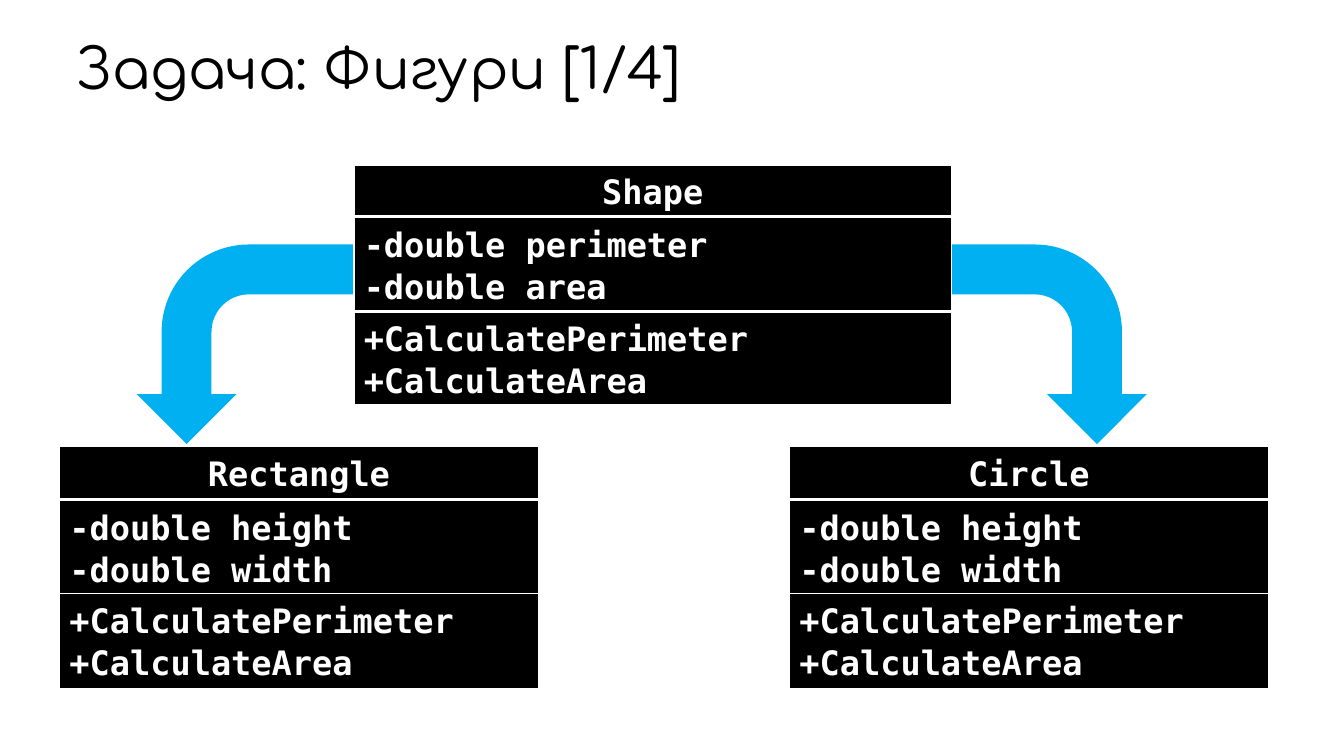
from dataclasses import dataclass

from pptx import Presentation
from pptx.dml.color import RGBColor
from pptx.enum.shapes import MSO_SHAPE as Kind
from pptx.enum.text import MSO_ANCHOR as Anchor, MSO_AUTO_SIZE as Fit, PP_ALIGN as Align
from pptx.oxml.ns import qn
from pptx.util import Inches, Pt

HUES = {"ink": "000000", "paper": "FFFFFF", "arrow": "00B0F0"}
METHODS = ("+CalculatePerimeter", "+CalculateArea")


@dataclass
class Card:
    name: str
    fields: tuple[str, ...]
    left: float
    width: float
    tops: tuple[float, ...]
    heights: tuple[float, ...]
    pad: float


@dataclass
class Arrow:
    left: float
    turn: int
    flip: bool


CHILD = dict(fields=("-double height", "-double width"), width=4.75,
             tops=(4.43, 4.96, 5.89), heights=(0.52, 0.94, 0.94), pad=0.05)
CARDS = [
    Card("Shape", ("-double perimeter", "-double area"), 3.51, 5.93,
         (1.64, 2.16, 3.1), (0.5, 0.92, 0.92), 0.04),
    Card("Rectangle", left=0.59, **CHILD),
    Card("Circle", left=7.83, **CHILD),
]
ARROWS = [Arrow(9.03, 90, False), Arrow(1.72, 270, True)]


def color(key: str) -> RGBColor:
    return RGBColor.from_string(HUES[key])


def write(frame, lines, *, font="DejaVu Sans Mono", size=24, space=30,
          hue="paper", bold=True, align=Align.LEFT) -> None:
    frame.word_wrap = True
    for i, line in enumerate(lines):
        para = frame.paragraphs[0] if i == 0 else frame.add_paragraph()
        para.alignment = align
        para.line_spacing = Pt(space)
        para.space_before = Pt(0)
        run = para.add_run()
        run.text = line
        run.font.name = font
        run.font.size = Pt(size)
        run.font.bold = bold
        run.font.color.rgb = color(hue)


def add_block(slide, kind, left: float, top: float, width: float, height: float, hue: str):
    block = slide.shapes.add_shape(kind, Inches(left), Inches(top),
                                   Inches(width), Inches(height))
    block.shadow.inherit = False
    block.fill.solid()
    block.fill.fore_color.rgb = color(hue)
    return block


def draw_arrow(slide, arrow: Arrow) -> None:
    shape = add_block(slide, Kind.BENT_ARROW, arrow.left, 2.06, 1.98, 2.71, "arrow")
    shape.line.fill.background()
    shape.rotation = arrow.turn
    if arrow.flip:
        shape.element.spPr.find(qn("a:xfrm")).set("flipH", "1")


def draw_card(slide, card: Card) -> None:
    """Stack the class name, its fields and its methods."""
    parts = ((card.name,), card.fields, METHODS)
    for i, (lines, top, height) in enumerate(zip(parts, card.tops, card.heights)):
        box = add_block(slide, Kind.RECTANGLE, card.left, top, card.width, height, "ink")
        box.line.color.rgb = color("paper")
        box.line.width = Pt(1)
        frame = box.text_frame
        frame.vertical_anchor = Anchor.TOP
        frame.margin_top = frame.margin_bottom = Inches(card.pad)
        write(frame, lines, align=Align.LEFT if i else Align.CENTER)
        frame.auto_size = Fit.SHAPE_TO_FIT_TEXT


def main() -> None:
    deck = Presentation()
    deck.slide_width, deck.slide_height = Inches(13.33), Inches(7.5)
    slide = deck.slides.add_slide(deck.slide_layouts[5])

    title = slide.shapes.title
    title.left, title.top = Inches(0.66), Inches(0.19)
    title.width, title.height = Inches(12.21), Inches(1.07)
    title.text_frame.vertical_anchor = Anchor.MIDDLE
    title.text_frame.auto_size = Fit.NONE
    write(title.text_frame, ["Задача: Фигури [1/4]"], font="Comfortaa",
          size=40, space=40, hue="ink", bold=False)

    for arrow in ARROWS:
        draw_arrow(slide, arrow)
    for card in CARDS:
        draw_card(slide, card)
    deck.save("out.pptx")


if __name__ == "__main__":
    main()
